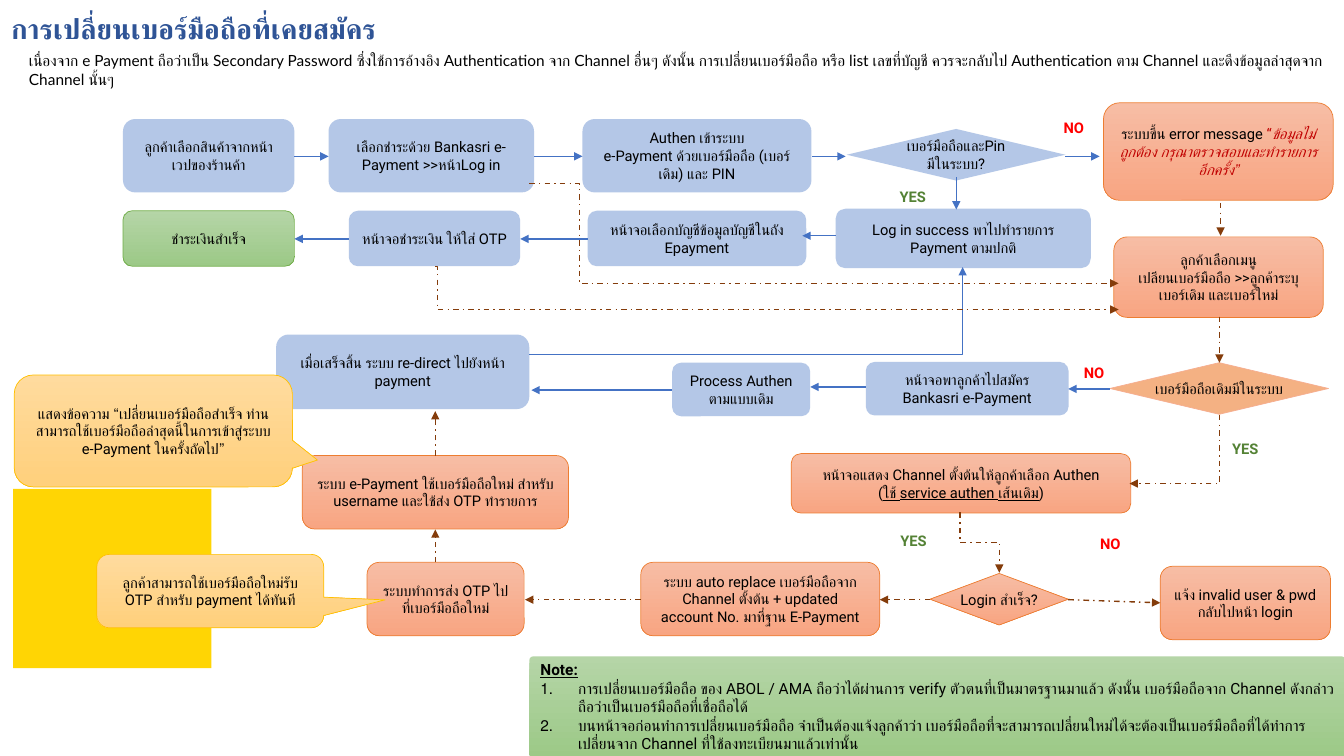
from lxml.etree import SubElement
from pptx import Presentation
from pptx.dml.color import RGBColor
from pptx.enum.dml import MSO_LINE
from pptx.enum.shapes import MSO_CONNECTOR, MSO_SHAPE
from pptx.enum.text import MSO_ANCHOR, PP_ALIGN
from pptx.oxml.ns import qn
from pptx.util import Cm, Pt

BLACK, NAVY, RED, GREEN = "000000", "2F5496", "FF0000", "548235"
BLUE, BROWN, CRIMSON = "4472C4", "843C0B", "C00000"


def tint(hue):
    return RGBColor.from_string(hue)


def write(frame, text, size=10.5, font="Roboto", align=PP_ALIGN.CENTER):
    """Fill a frame from a string, or from paragraphs of (text, marks, hue) runs."""
    if isinstance(text, str):
        text = [[(line, "", BLACK)] for line in text.split("\n")]
    frame.word_wrap = True
    for n, runs in enumerate(text):
        para = frame.paragraphs[0] if n == 0 else frame.add_paragraph()
        para.alignment = align
        for words, marks, hue in runs:
            run = para.add_run()
            run.text = words
            run.font.name, run.font.size = font, Pt(size)
            run.font.color.rgb = tint(hue)
            run.font.bold = "b" in marks
            run.font.italic = "i" in marks
            run.font.underline = "u" in marks


deck = Presentation()
deck.slide_width, deck.slide_height = Cm(33.87), Cm(19.05)
slide = deck.slides.add_slide(deck.slide_layouts[6])
shapes = slide.shapes

# Heading
title = shapes.add_textbox(Cm(0.03), Cm(0.41), Cm(28.63), Cm(0.69)).text_frame
title.vertical_anchor = MSO_ANCHOR.MIDDLE
write(title, [[("การเปลี่ยนเบอร์มือถือที่เคยสมัคร", "b", NAVY)]], 20, "Lato", PP_ALIGN.LEFT)
title.paragraphs[0].line_spacing = 0.9
intro = shapes.add_textbox(Cm(0.48), Cm(1.17), Cm(33.38), Cm(1.19)).text_frame
write(intro, "เนื่องจาก e Payment ถือว่าเป็น Secondary Password ซึ่งใช้การอ้างอิง Authentication "
      "จาก Channel อื่นๆ ดังนั้น การเปลี่ยนเบอร์มือถือ หรือ list เลขที่บัญชี ควรจะกลับไป "
      "Authentication ตาม Channel และดึงข้อมูลล่าสุดจาก Channel นั้นๆ", 11, "Lato", PP_ALIGN.LEFT)

# Look of each kind of box: fill stops, outline
looks = {
    "blue": (["B4C7E7"], None),
    "sand": (["F4B183"], "F6AE90"),
    "gold": (["FFD504"], None),
    "coral": (["F7BDA5", "F8A582"], "ED7D31"),
    "green": (["B5D5A7", "9CC987"], "70AD47"),
    "note": (["B5D5A7", "9CC987"], None),
    "amber": (["FFDB9E", "FFD07C"], "FFC000"),
}
ROUND, CHOICE = MSO_SHAPE.ROUNDED_RECTANGLE, MSO_SHAPE.FLOWCHART_DECISION
CALL = MSO_SHAPE.ROUNDED_RECTANGULAR_CALLOUT

error = [[("ระบบขึ้น error message ", "", BLACK), ("“", "", CRIMSON),
          ("ข้อมูลไม่ถูกต้อง กรุณาตรวจสอบและทำรายการอีกครั้ง”", "i", CRIMSON)]]
channel = [[("หน้าจอแสดง Channel ตั้งต้นให้ลูกค้าเลือก Authen", "", BLACK)],
           [("(", "", BLACK), ("ใช้ service authen เส้นเดิม", "u", BLACK), (")", "", BLACK)]]
note = [
    [("Note:", "bu", BLACK)],
    [("การเปลี่ยนเบอร์มือถือ ของ ABOL / AMA ถือว่าได้ผ่านการ verify ตัวตนที่เป็นมาตรฐานมาแล้ว ดังนั้น "
      "เบอร์มือถือจาก Channel ดังกล่าว ถือว่าเป็นเบอร์มือถือที่เชื่อถือได้", "", BLACK)],
    [("บนหน้าจอก่อนทำการเปลี่ยนเบอร์มือถือ จำเป็นต้องแจ้งลูกค้าว่า "
      "เบอร์มือถือที่จะสามารถเปลี่ยนใหม่ได้จะต้องเป็นเบอร์มือถือที่ได้ทำการเปลี่ยนจาก Channel "
      "ที่ใช้ลงทะเบียนมาแล้วเท่านั้น", "", BLACK)],
]

# Kind, look, left, top, width, height, text, adjustments
boxes = [
    (MSO_SHAPE.RECTANGLE, "gold", 0.33, 12.32, 5, 4.52, "", []),
    (ROUND, "blue", 3.1, 3, 4.32, 1.85, "ลูกค้าเลือกสินค้าจากหน้าเวปของร้านค้า", []),
    (ROUND, "blue", 8.28, 3, 5.18, 1.85, "เลือกชำระด้วย Bankasri e-Payment >>หน้าLog in", []),
    (ROUND, "blue", 14.68, 3, 5.77, 1.85,
     "Authen เข้าระบบ\ne-Payment ด้วยเบอร์มือถือ (เบอร์เดิม) และ PIN", []),
    (CHOICE, "blue", 21.34, 3.25, 5.51, 1.3, "เบอร์มือถือและPin\nมีในระบบ?", []),
    (ROUND, "coral", 27.81, 2.59, 5.79, 2.46, error, []),
    (ROUND, "green", 3.1, 5.31, 4.32, 1.4, "ชำระเงินสำเร็จ", []),
    (ROUND, "blue", 8.79, 5.31, 4.32, 1.4, "หน้าจอชำระเงิน ให้ใส่ OTP", []),
    (ROUND, "blue", 14.81, 5.31, 5.51, 1.4, "หน้าจอเลือกบัญชีข้อมูลบัญชีในถัง Epayment", []),
    (ROUND, "blue", 21.06, 5.26, 6.43, 1.5, "Log in success พาไปทำรายการ Payment ตามปกติ", []),
    (ROUND, "coral", 28.07, 5.97, 5.28, 2.03,
     "ลูกค้าเลือกเมนู\nเปลียนเบอร์มือถือ >>ลูกค้าระบุเบอร์เดิม และเบอร์ใหม่", []),
    (ROUND, "blue", 6.96, 8.43, 6.38, 1.88, "เมื่อเสร็จสิ้น ระบบ re-direct ไปยังหน้า payment", []),
    (ROUND, "blue", 16.94, 9.14, 3.48, 1.35, "Process Authen ตามแบบเดิม", []),
    (ROUND, "blue", 21.82, 9.12, 5.11, 1.35, "หน้าจอพาลูกค้าไปสมัคร Bankasri e-Payment", []),
    (CHOICE, "sand", 27.97, 9.14, 5.51, 1.3, "เบอร์มือถือเดิมมีในระบบ", []),
    (ROUND, "coral", 7.62, 11.48, 6.71, 1.85,
     "ระบบ e-Payment ใช้เบอร์มือถือใหม่ สำหรับ username และใช้ส่ง OTP ทำรายการ", []),
    (ROUND, "coral", 19.94, 11.43, 8.56, 1.5, channel, []),
    (ROUND, "coral", 9.25, 14.17, 3.96, 1.85, "ระบบทำการส่ง OTP ไปที่เบอร์มือถือใหม่", []),
    (ROUND, "coral", 16.15, 14.17, 6.02, 1.85,
     "ระบบ auto replace เบอร์มือถือจาก Channel ตั้งต้น + updated account No. มาที่ฐาน E-Payment", []),
    (CHOICE, "coral", 23.44, 14.45, 3.48, 1.3, "Login สำเร็จ?", []),
    (ROUND, "coral", 29.24, 14.27, 4.29, 1.85, "แจ้ง invalid user & pwd กลับไปหน้า login", []),
    (CALL, "amber", 0.36, 9.45, 7.01, 2.82,
     "แสดงข้อความ “เปลี่ยนเบอร์มือถือสำเร็จ ท่านสามารถใช้เบอร์มือถือล่าสุดนี้ในการเข้าสู่ระบบ "
     "e-Payment ในครั้งถัดไป”", [0.59, 0.26, 0.17]),
    (CALL, "amber", 2.44, 13.97, 5.72, 1.85,
     "ลูกค้าสามารถใช้เบอร์มือถือใหม่รับ OTP สำหรับ payment ได้ทันที", [0.77, 0.12, 0.17]),
    (ROUND, "note", 13.34, 16.54, 20.57, 2.54, note, [0.04]),
]
for kind, look, x, y, w, h, text, bends in boxes:
    box = shapes.add_shape(kind, Cm(x), Cm(y), Cm(w), Cm(h))
    box.shadow.inherit = False
    for n, bend in enumerate(bends):
        box.adjustments[n] = bend
    stops, edge = looks[look]
    if len(stops) == 1:
        box.fill.solid()
        box.fill.fore_color.rgb = tint(stops[0])
    else:
        box.fill.gradient()
        box.fill.gradient_angle = 270
        for stop, hue in zip(box.fill.gradient_stops, stops):
            stop.color.rgb = tint(hue)
    if edge:
        box.line.color.rgb = tint(edge)
        box.line.width = Pt(0.5)
    else:
        box.line.fill.background()
    frame = box.text_frame
    frame.vertical_anchor = MSO_ANCHOR.MIDDLE
    if look == "note":
        write(frame, text, 11, align=PP_ALIGN.LEFT)
        for para in frame.paragraphs[1:]:
            props = para._p.get_or_add_pPr()
            props.set("marL", str(Cm(0.95)))
            props.set("indent", str(-Cm(0.95)))
            SubElement(props, qn("a:buAutoNum"), type="arabicPeriod")
    elif text:
        write(frame, text)
        frame.word_wrap = kind != CHOICE

# Arrows: colour, start x and y, end x and y, then preset, turn and bend of an elbow
links = [
    (BLUE, 7.42, 3.94, 8.28, 3.94),
    (BLUE, 13.46, 3.94, 14.68, 3.94),
    (BLUE, 20.47, 3.94, 21.31, 3.94),
    (BLUE, 26.85, 3.94, 27.71, 3.94),
    (BLUE, 24.1, 4.47, 24.1, 5.28),
    (BLUE, 21.06, 5.94, 20.22, 5.94),
    (BLUE, 14.81, 6.02, 13.11, 6.02),
    (BLUE, 8.79, 6.02, 7.42, 6.02),
    (BLUE, 27.97, 9.8, 26.92, 9.8),
    (BLUE, 21.82, 9.75, 20.42, 9.75),
    (BLUE, 16.94, 9.83, 13.39, 9.83),
    (BROWN, 30.76, 5.11, 30.76, 5.94),
    (BROWN, 30.73, 7.98, 30.73, 9.14),
    (BROWN, 23.44, 15.11, 22.17, 15.11),
    (BROWN, 16.15, 15.11, 13.23, 15.11),
    (BROWN, 10.97, 14.17, 10.97, 13.34),
    (BROWN, 10.97, 11.48, 10.97, 10.36),
    (BROWN, 26.92, 15.11, 29.24, 15.19),
    (BLUE, 13.34, 8.94, 24.26, 6.73, "bentConnector2", 0, None),
    (BROWN, 28.73, 10.19, 30.46, 12.45, "bentConnector2", 90, None),
    (BROWN, 25.45, 13.18, 23.93, 14.17, "bentConnector3", 270, 50000),
    (BROWN, 13.34, 4.62, 28.19, 7.14, "bentConnector3", 0, 8500),
    (BROWN, 10.97, 6.71, 28.19, 7.8, "bentConnector3", 0, 300),
]
for hue, x1, y1, x2, y2, *elbow in links:
    style = MSO_CONNECTOR.ELBOW if elbow else MSO_CONNECTOR.STRAIGHT
    link = shapes.add_connector(style, Cm(x1), Cm(y1), Cm(x2), Cm(y2))
    link.line.color.rgb = tint(hue)
    link.line.width = Pt(1)
    if hue == BROWN:
        link.line.dash_style = MSO_LINE.DASH_DOT
    props = link.element.spPr
    SubElement(props.find(qn("a:ln")), qn("a:tailEnd"), type="triangle")
    SubElement(props, qn("a:effectLst"))
    if elbow:
        preset, turn, bend = elbow
        props.find(qn("a:xfrm")).set("rot", str(turn * 60000))
        geom = props.find(qn("a:prstGeom"))
        geom.set("prst", preset)
        if bend is not None:
            SubElement(geom.find(qn("a:avLst")), qn("a:gd"), name="adj1", fmla=f"val {bend}")

# Answers beside the decisions
answers = [
    ("NO", RED, 26.11, 2.87), ("YES", GREEN, 22.05, 4.6), ("NO", RED, 26.62, 9.04),
    ("YES", GREEN, 30.43, 10.95), ("YES", GREEN, 22.07, 13.28), ("NO", RED, 27.03, 13.36),
]
for word, hue, x, y in answers:
    label = shapes.add_textbox(Cm(x), Cm(y), Cm(1.9), Cm(0.71))
    write(label.text_frame, [[(word, "b", hue)]])

deck.save("out.pptx")
